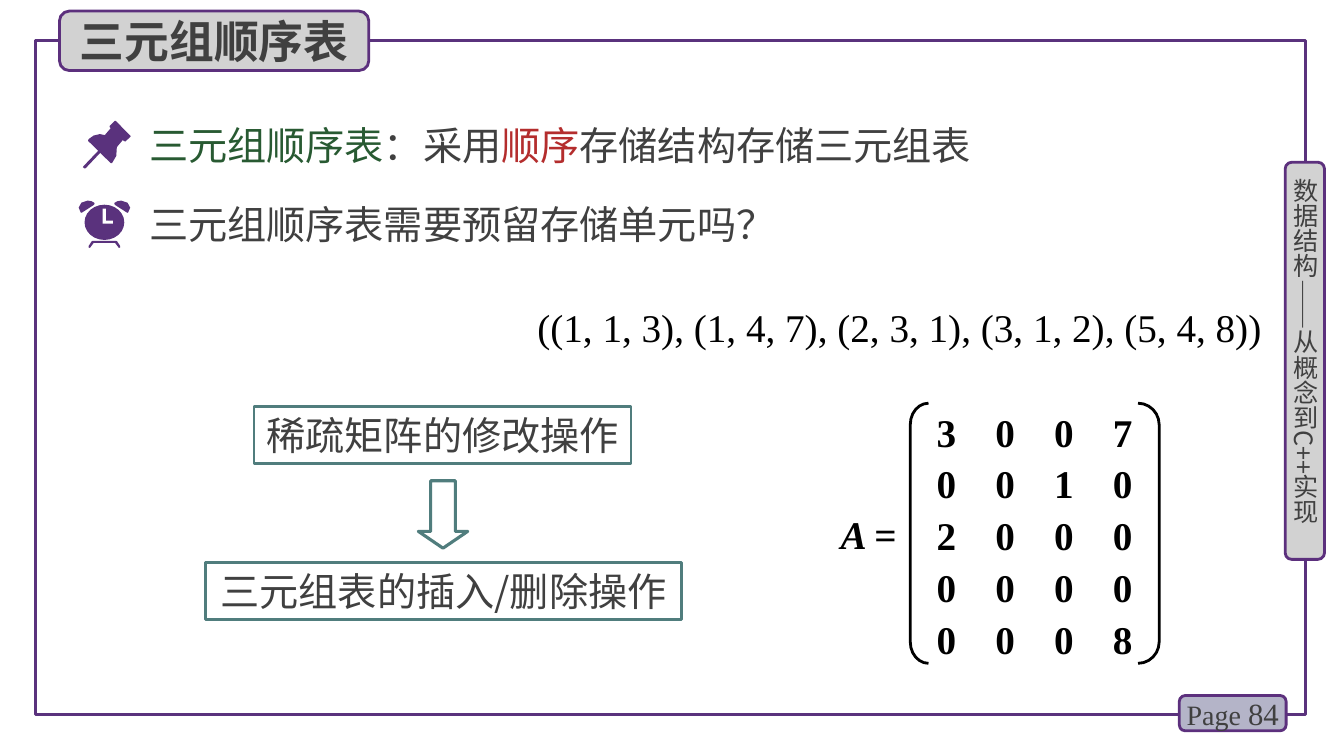
from lxml.etree import SubElement
from pptx import Presentation
from pptx.dml.color import RGBColor
from pptx.enum.shapes import MSO_SHAPE as SHAPE
from pptx.enum.text import MSO_ANCHOR as ANCHOR, MSO_AUTO_SIZE as AUTO, PP_ALIGN as ALIGN
from pptx.oxml.ns import qn
from pptx.util import Pt

# Content
COLORS = {
    "purple": "5A327D", "border": "5C307D", "gray": "D2D2D2", "badge": "B4B4C8",
    "text": "404040", "green": "285A32", "red": "B42D2D", "teal": "507D7D",
    "black": "000000", "white": "FFFFFF",
}
CJK, SERIF = "Noto Sans CJK SC", "Times New Roman"
TITLE = "三元组顺序表"
STATEMENTS = [
    [("三元组顺序表", "green"), ("：采用", "text"), ("顺序", "red"),
     ("存储结构存储三元组表", "text")],
    [("三元组顺序表需要预留存储单元吗？", "text")],
]
COURSE = "数据结构——从概念到C++实现"
PAGE = ("Page ", "84")
TRIPLES = "((1, 1, 3), (1, 4, 7), (2, 3, 1), (3, 1, 2), (5, 4, 8))"
MATRIX = [(3, 0, 0, 7), (0, 0, 1, 0), (2, 0, 0, 0), (0, 0, 0, 0), (0, 0, 0, 8)]
OPERATIONS = [  # text, left, top, width
    ("稀疏矩阵的修改操作", 181.5, 290.2, 269.3),
    ("三元组表的插入/删除操作", 146.9, 401.8, 339.8),
]

# Icon outlines, in points
PIN_HEAD = [
    (93.3, 97.2), (82.8, 86.4), (82, 86.4), (78.4, 90), (78.4, 90.8), (79.2, 91.5),
    (74.9, 96.5), (71.3, 95.8), (67, 96.8), (63.3, 99.4), (62.9, 100.6),
    (79.2, 116.6), (80, 116.6), (83.1, 111.4), (83.5, 105.1), (87.8, 100),
    (88.6, 100.8), (89.6, 101.1), (93.3, 97.6),
]
PIN_NEEDLE = [
    (60.2, 120.3), (59.3, 119.5), (59.6, 118.8), (70.6, 107.3), (71.6, 107.2),
    (72.4, 107.9), (72.1, 108.7), (61.2, 120.2),
]
CLOCK_AXIS = 74.6
CLOCK_FACE = (60.4, 146.2, 28.4, 25.2)
CLOCK_EAR = [
    (62.6, 143.3), (58.1, 144.8), (56.2, 148.3), (57.6, 151.7), (58.3, 152),
    (67, 146.4), (67.5, 145.6), (67.4, 144.9), (65.3, 143.7),
]
CLOCK_FOOT = [
    (74.6, 172.1), (66.2, 172.1), (65.5, 172.4), (63.4, 175.7), (63.4, 176.9),
    (64.3, 177.1), (64.8, 176.4), (67, 173.5), (74.6, 173.5),
]
CLOCK_HANDS = [
    (73.4, 149), (75.6, 149), (75.6, 157.7), (80.6, 157.7), (80.6, 159.8), (73.4, 159.8),
]

presentation = Presentation()
presentation.slide_width, presentation.slide_height = Pt(960), Pt(540)
slide = presentation.slides.add_slide(presentation.slide_layouts[1])


def color(name):
    return RGBColor.from_string(COLORS[name])


def place(shape, left, top, width, height):
    shape.left, shape.top, shape.width, shape.height = map(Pt, (left, top, width, height))


def paint(shape, fill=None, line=None, weight=2):
    shape.shadow.inherit = False
    if fill:
        shape.fill.solid()
        shape.fill.fore_color.rgb = color(fill)
    else:
        shape.fill.background()
    if line:
        shape.line.color.rgb = color(line)
        shape.line.width = Pt(weight)
    else:
        shape.line.fill.background()


def add_preset(kind, box, fill=None, line=None, weight=2, adjust=()):
    shape = slide.shapes.add_shape(kind, *map(Pt, box))
    for index, value in enumerate(adjust):
        shape.adjustments[index] = value
    paint(shape, fill, line, weight)
    return shape


def add_outline(points, fill="purple"):
    tenths = [(round(x * 10), round(y * 10)) for x, y in points]
    builder = slide.shapes.build_freeform(*tenths[0], scale=Pt(1) / 10)
    builder.add_line_segments(tenths[1:], close=True)
    paint(builder.convert_to_shape(), fill)


def mirrored(points):
    return [(2 * CLOCK_AXIS - x, y) for x, y in points]


def prepare(shape, anchor=ANCHOR.MIDDLE):
    frame = shape.text_frame
    frame.auto_size = AUTO.NONE
    frame.word_wrap = True
    frame.vertical_anchor = anchor
    frame.margin_left = frame.margin_right = frame.margin_top = frame.margin_bottom = 0
    return frame


def style(paragraph, size, name=CJK, ink="text", bold=False, align=ALIGN.LEFT):
    paragraph.alignment = align
    font = paragraph.font
    font.size, font.name, font.bold = Pt(size), name, bold
    font.color.rgb = color(ink)
    SubElement(font._rPr, qn("a:ea"), typeface=name)


def write(shape, text, size, anchor=ANCHOR.MIDDLE, **look):
    frame = prepare(shape, anchor)
    frame.paragraphs[0].text = text
    style(frame.paragraphs[0], size, **look)
    return frame


def add_text_box(*box):
    return slide.shapes.add_textbox(*map(Pt, box))


# Frame, page badge and course rail
add_preset(SHAPE.RECTANGLE, (25.2, 28.8, 907.2, 481.7), line="purple", weight=2.25)
badge = add_preset(SHAPE.ROUNDED_RECTANGLE, (842.4, 496.8, 76.3, 25.2), "badge", "border")
paragraph = prepare(badge).paragraphs[0]
for text, size in zip(PAGE, (20, 22)):
    run = paragraph.add_run()
    run.text, run.font.size = text, Pt(size)
style(paragraph, 20, SERIF, align=ALIGN.CENTER)

rail = add_preset(SHAPE.ROUNDED_RECTANGLE, (918, 115.9, 28.1, 283.7), "gray", "border")
rail_frame = write(rail, COURSE, 18)
rail_frame.margin_top = Pt(10)
rail_frame._txBody.bodyPr.set("vert", "eaVert")

# Title on its plate
title_box = (42.5, 7.9, 221, 42.5)
add_preset(SHAPE.ROUNDED_RECTANGLE, title_box, "gray", "border")
title = slide.shapes.title
place(title, *title_box)
write(title, TITLE, 32, bold=True, align=ALIGN.CENTER)
title.element.getparent().append(title.element)  # bring in front of the plate

# Statements
body = slide.placeholders[1]
place(body, 106.5, 63, 780, 115)
body_frame = prepare(body, ANCHOR.TOP)
for index, parts in enumerate(STATEMENTS):
    paragraph = body_frame.paragraphs[0] if index == 0 else body_frame.add_paragraph()
    properties = paragraph._p.get_or_add_pPr()
    properties.set("marL", "0")
    properties.set("indent", "0")
    SubElement(properties, qn("a:buNone"))
    paragraph.space_before = Pt(0)
    paragraph.line_spacing = Pt(57)
    for text, ink in parts:
        run = paragraph.add_run()
        run.text = text
        run.font.color.rgb = color(ink)
    style(paragraph, 28)

# Pin and alarm clock icons
for outline in (PIN_HEAD, PIN_NEEDLE, CLOCK_EAR, mirrored(CLOCK_EAR),
                CLOCK_FOOT + mirrored(CLOCK_FOOT)[::-1]):
    add_outline(outline)
add_preset(SHAPE.OVAL, CLOCK_FACE, "purple")
add_outline(CLOCK_HANDS, "white")

# Triples and matrix
write(add_text_box(383.8, 216.7, 530, 33), TRIPLES, 28, ANCHOR.TOP, name=SERIF, ink="black")
matrix_frame = prepare(add_text_box(669, 288, 150, 190), ANCHOR.TOP)
for index, row in enumerate(MATRIX):
    paragraph = matrix_frame.paragraphs[0] if index == 0 else matrix_frame.add_paragraph()
    paragraph.text = "\t".join(map(str, row))
    paragraph.line_spacing = Pt(37)
    tabs = SubElement(paragraph._p.get_or_add_pPr(), qn("a:tabLst"))
    for column in range(1, len(row)):
        SubElement(tabs, qn("a:tab"), pos=str(Pt(42 * column)), algn="l")
    style(paragraph, 28, SERIF, "black", bold=True)
for kind, left, width, bend in ((SHAPE.LEFT_BRACKET, 650.2, 13, 1.17),
                                (SHAPE.RIGHT_BRACKET, 812.9, 15.1, 1.02)):
    add_preset(kind, (left, 288, width, 185.8), line="black", adjust=(bend,))
paragraph = prepare(add_text_box(600.5, 364.3, 46, 36), ANCHOR.TOP).paragraphs[0]
for text, italic in (("A ", True), ("=", False)):
    run = paragraph.add_run()
    run.text, run.font.italic = text, italic
style(paragraph, 28, SERIF, "black", bold=True)

# Operations
for text, left, top, width in OPERATIONS:
    box = add_preset(SHAPE.RECTANGLE, (left, top, width, 41), line="teal")
    write(box, text, 28, align=ALIGN.CENTER)
add_preset(SHAPE.DOWN_ARROW, (298.8, 343.4, 35.3, 48.2), line="teal", weight=2.25,
           adjust=(0.5, 0.34))

presentation.save("out.pptx")
